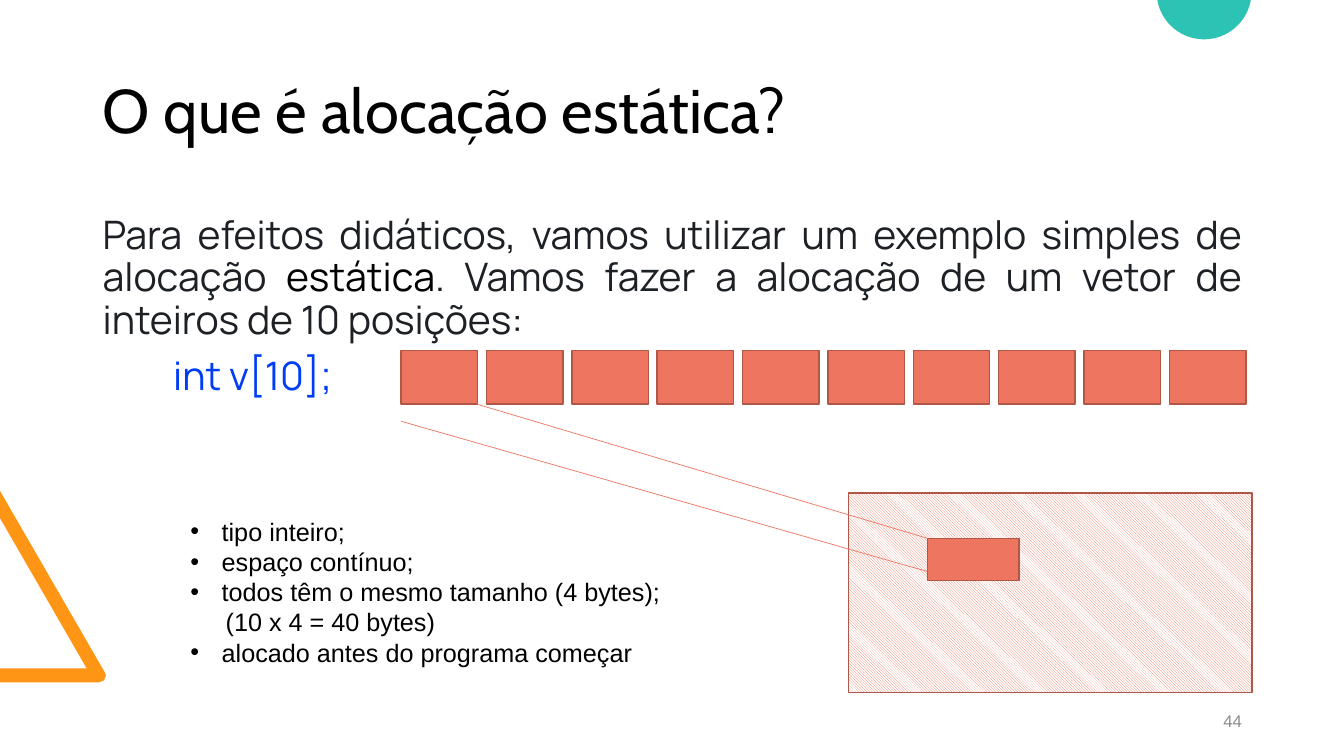
from math import cos, radians, sin

from lxml import etree
from pptx import Presentation
from pptx.dml.color import RGBColor
from pptx.enum.dml import MSO_PATTERN
from pptx.enum.shapes import MSO_CONNECTOR, MSO_SHAPE
from pptx.enum.text import MSO_ANCHOR, PP_ALIGN
from pptx.oxml.ns import qn
from pptx.util import Inches, Pt

BLACK = RGBColor(0x00, 0x00, 0x00)
WHITE = RGBColor(0xFF, 0xFF, 0xFF)
INK = RGBColor(0x1D, 0x21, 0x25)
BLUE = RGBColor(0x00, 0x3D, 0xF5)
GREY = RGBColor(0x8C, 0x8C, 0x8C)
CORAL = RGBColor(0xEE, 0x76, 0x61)
BRICK = RGBColor(0xB0, 0x57, 0x48)
ORANGE = RGBColor(0xFF, 0x95, 0x14)
TEAL = RGBColor(0x2C, 0xC3, 0xB4)

RECT = MSO_SHAPE.RECTANGLE
STRAIGHT = MSO_CONNECTOR.STRAIGHT
STRIPES = MSO_PATTERN.LIGHT_DOWNWARD_DIAGONAL
TOP, MIDDLE = MSO_ANCHOR.TOP, MSO_ANCHOR.MIDDLE
LEFT, RIGHT, JUSTIFY = PP_ALIGN.LEFT, PP_ALIGN.RIGHT, PP_ALIGN.JUSTIFY
TITLE_ONLY = 5


class Board:
    """Draws styled elements on a slide, with lengths as percentages of its size."""

    def __init__(self, deck):
        self.wide, self.high = deck.slide_width, deck.slide_height
        self.slide = deck.slides.add_slide(deck.slide_layouts[TITLE_ONLY])
        self.shapes = self.slide.shapes

    def point(self, x, y):
        return round(self.wide * x / 100), round(self.high * y / 100)

    def area(self, x, y, w, h):
        return self.point(x, y) + self.point(w, h)

    def phrase(self, para, runs, font, size, align=LEFT, lead=1.0, before=0):
        para.alignment, para.line_spacing = align, lead
        para.space_before = Pt(before)
        for text, color in runs:
            run = para.add_run()
            run.text = text
            run.font.name, run.font.size = font, Pt(size)
            run.font.color.rgb = color

    def title(self, area, text):
        shape = self.shapes.title
        shape.left, shape.top, shape.width, shape.height = self.area(*area)
        frame = shape.text_frame
        frame.vertical_anchor = MIDDLE
        self.phrase(frame.paragraphs[0], [(text, BLACK)], "Cabin", 44, lead=0.9)

    def text(self, area, lines, font, size, anchor=TOP, **style):
        frame = self.shapes.add_textbox(*self.area(*area)).text_frame
        frame.word_wrap, frame.vertical_anchor = True, anchor
        for i, runs in enumerate(lines):
            para = frame.add_paragraph() if i else frame.paragraphs[0]
            self.phrase(para, runs, font, size, **style)
        return frame.paragraphs

    def indent(self, para, margin, bullet=False):
        props = para._p.get_or_add_pPr()
        props.set("marL", str(Inches(margin)))
        if bullet:
            props.set("indent", str(-Inches(margin)))
            etree.SubElement(props, qn("a:buFont")).set("typeface", "Arial")
            etree.SubElement(props, qn("a:buChar")).set("char", "•")

    def box(self, area, striped=False):
        shape = self.shapes.add_shape(RECT, *self.area(*area))
        shape.shadow.inherit = False
        if striped:
            shape.fill.patterned()
            shape.fill.pattern = STRIPES
            shape.fill.fore_color.rgb = CORAL
            shape.fill.back_color.rgb = WHITE
        else:
            shape.fill.solid()
            shape.fill.fore_color.rgb = CORAL
        shape.line.color.rgb, shape.line.width = BRICK, Pt(1)

    def line(self, start, end):
        link = self.shapes.add_connector(
            STRAIGHT, *self.point(*start), *self.point(*end))
        link.line.color.rgb, link.line.width = CORAL, Pt(0.5)
        etree.SubElement(link._element.spPr, qn("a:effectLst"))

    def outline(self, points, color):
        first, *rest = [self.point(*p) for p in points]
        form = self.shapes.build_freeform(*first)
        form.add_line_segments(rest, close=True)
        shape = form.convert_to_shape()
        shape.shadow.inherit = False
        shape.fill.solid()
        shape.fill.fore_color.rgb = color
        shape.line.fill.background()


def main():
    deck = Presentation()
    deck.slide_width, deck.slide_height = Inches(13.33), Inches(7.5)
    board = Board(deck)

    board.outline([(0, 90.27), (0, 88.4), (6.45, 88.4), (0, 68.53), (0, 64.93),
                   (7.8, 88.93), (7.88, 89.33), (7.75, 90), (7.35, 90.27)], ORANGE)
    arc = [radians(a) for a in range(10, 171, 4)]
    board.outline([(89.59 + 3.53 * cos(a), 6.27 * sin(a) - 1.07) for a in arc], TEAL)

    board.title((6.9, 5.33, 86.25, 19.33), "O que é alocação estática?")
    board.text((70.65, 92.67, 22.5, 5.33), [[("44", GREY)]], "Arial", 12,
               MIDDLE, align=RIGHT)
    intro = [
        [("Para efeitos didáticos, vamos utilizar um exemplo simples de alocação ", INK),
         ("estática", BLACK),
         (". Vamos fazer a alocação de um vetor de inteiros de 10 posições:", INK)],
        [("int v[10];", BLUE)],
    ]
    paras = board.text((6.9, 27.87, 86.25, 30.27), intro, "Manrope", 28,
                       align=JUSTIFY, lead=0.9, before=10)
    board.indent(paras[1], 0.7)

    left, top, wide, high, step = 29.85, 46.4, 5.7, 7.07, 6.35
    for i in range(10):
        board.box((left + i * step, top, wide, high))

    board.box((63.15, 65.2, 30, 26.4), striped=True)
    board.box((69, 71.2, 6.83, 5.6))
    board.line((69, 75.6), (left, 55.73))
    board.line((69, 71.2), (left + wide, 53.5))

    facts = [("tipo inteiro;", True), ("espaço contínuo;", True),
             ("todos têm o mesmo tamanho (4 bytes);", True),
             ("(10 x 4 = 40 bytes)", False),
             ("alocado antes do programa começar", True)]
    paras = board.text((13.43, 67.6, 37.73, 21.6),
                       [[(text, BLACK)] for text, _ in facts], "Arial", 18)
    for para, (_, bullet) in zip(paras, facts):
        board.indent(para, 0.31 if bullet else 0.35, bullet)

    deck.save("out.pptx")


if __name__ == "__main__":
    main()
